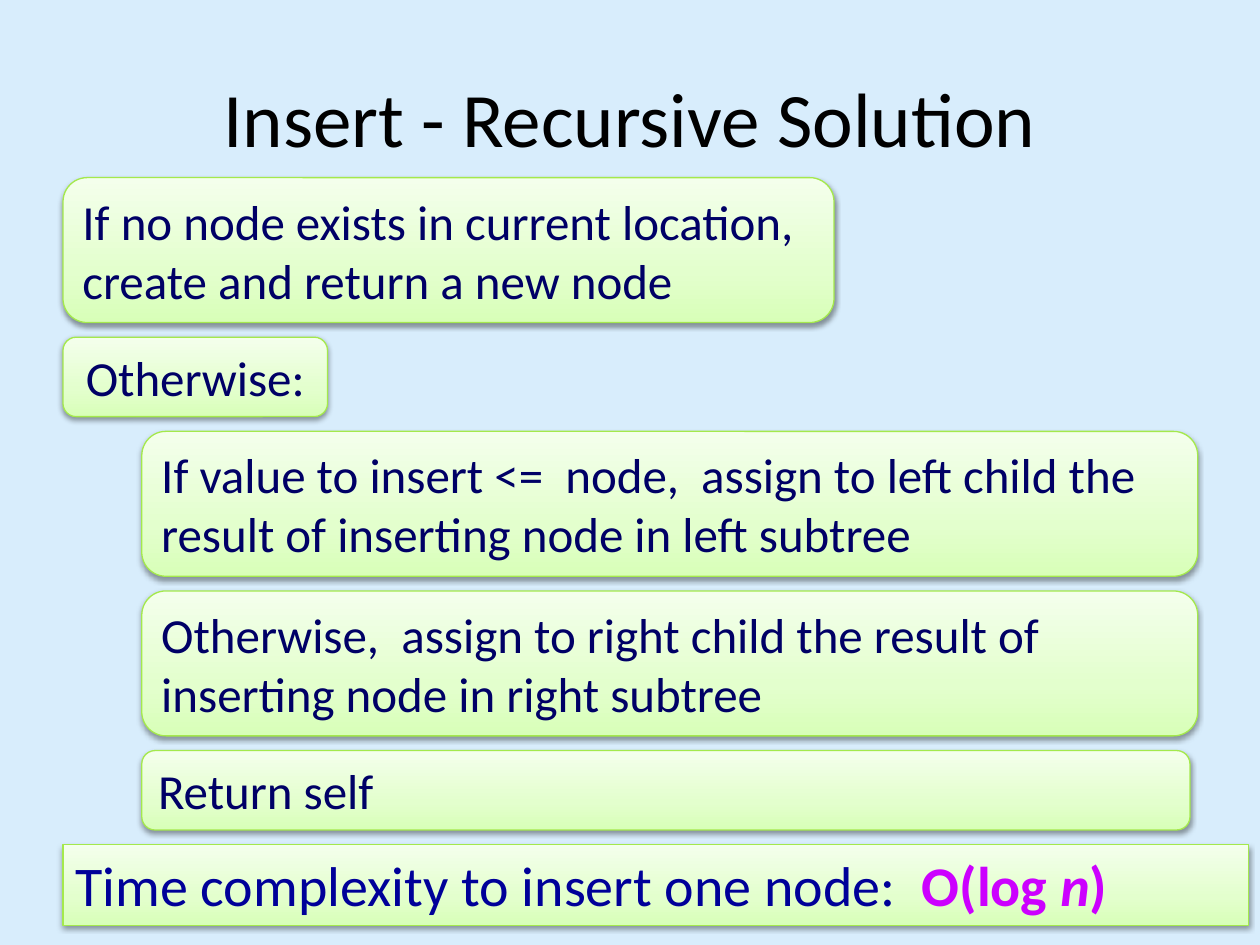
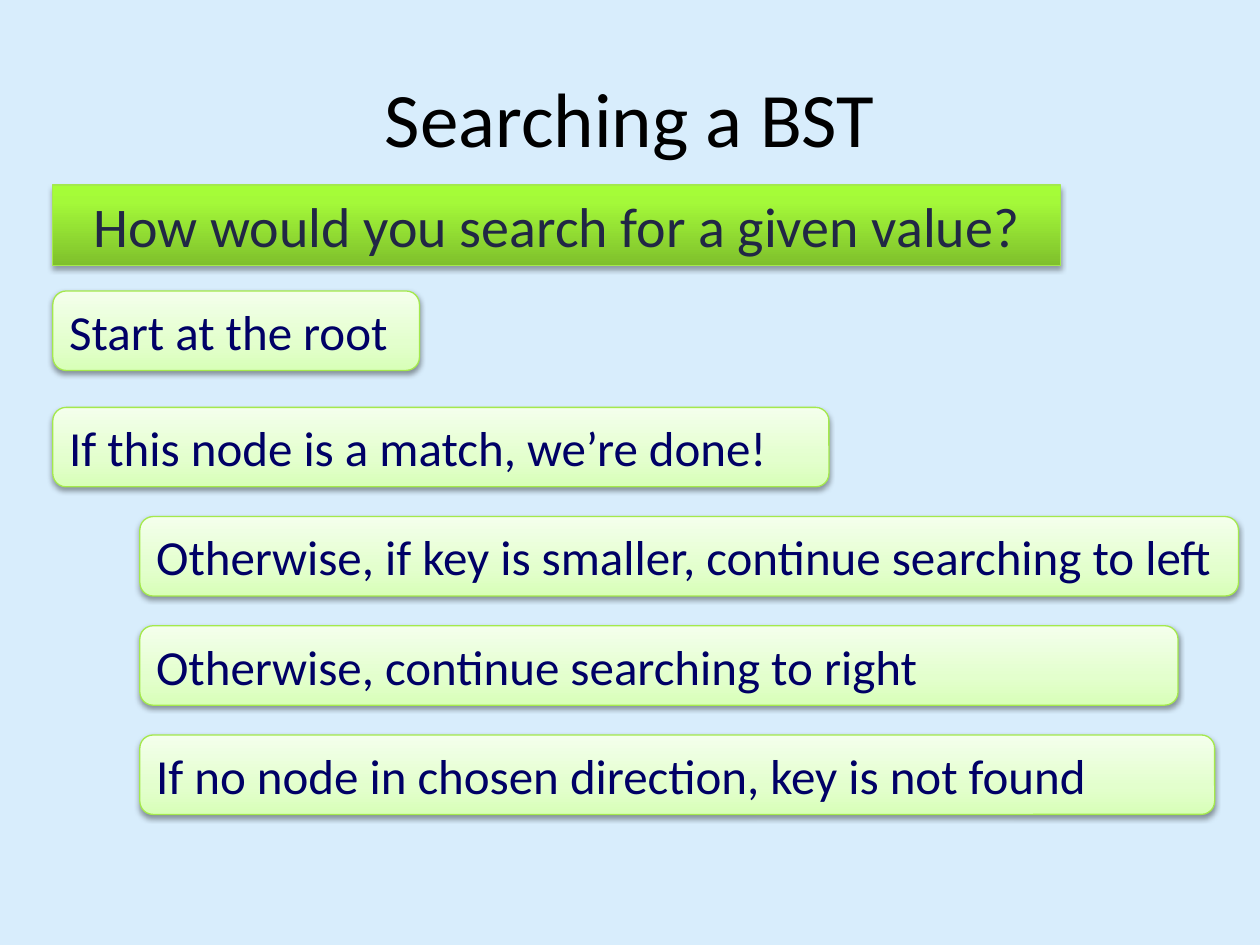
from lxml.etree import SubElement
from pptx import Presentation
from pptx.dml.color import RGBColor
from pptx.enum.shapes import MSO_SHAPE as Shape
from pptx.enum.text import MSO_ANCHOR as Anchor, MSO_AUTO_SIZE as AutoSize, PP_ALIGN as Align
from pptx.oxml.ns import qn
from pptx.util import Pt

FONT = "Calibri"
COLORS = {
    "sky": "D8EDFC", "black": "000000", "edge": "A4E94C",
    "step": "000066", "summary": "000099", "accent": "CC00FF", "question": "212745",
}
# Gradient stops run from the bottom of a box to its top
PALE = [(0, "D8FFB8"), (35, "E3FFCD"), (100, "F4FFEC")]
BRIGHT = [(0, "7FC02C"), (80, "A4F939"), (100, "A6FE36")]
ONE_LINE, TWO_LINES, BAND = 45.4, 82.8, 46


def rgb(name):
    return RGBColor.from_string(COLORS[name])


def style_run(r, size, color, bold=None, italic=None):
    f = r.font
    f.name, f.size, f.bold, f.italic = FONT, Pt(size), bold, italic
    f.color.rgb = rgb(color)


def set_gradient(sp, stops):
    sp.fill.gradient()
    sp.fill.gradient_angle = 90
    gs_list = sp._element.spPr.find(qn("a:gradFill")).find(qn("a:gsLst"))
    gs_list.clear()
    for pos, color in stops:
        gs = SubElement(gs_list, qn("a:gs"), pos=str(pos * 1000))
        SubElement(gs, qn("a:srgbClr"), val=color)


def set_shadow(sp, alpha, distance):
    sp.shadow.inherit = False
    effects = sp._element.spPr.find(qn("a:effectLst"))
    shadow = SubElement(effects, qn("a:outerShdw"), blurRad=str(Pt(3.1)),
                        dist=str(Pt(distance)), dir="5400000", rotWithShape="0")
    color = SubElement(shadow, qn("a:srgbClr"), val=COLORS["black"])
    SubElement(color, qn("a:alpha"), val=str(alpha * 1000))


def add_box(s, box, kind, stops, align, anchor, shadow=(38, 1.6)):
    """Draw an empty green box and return its paragraph."""
    sp = s.shapes.add_shape(kind, *map(Pt, box))
    set_gradient(sp, stops)
    set_shadow(sp, *shadow)
    sp.line.color.rgb = rgb("edge")
    sp.line.width = Pt(0.75)
    tf = sp.text_frame
    tf.word_wrap = True
    tf.auto_size = AutoSize.SHAPE_TO_FIT_TEXT
    tf.vertical_anchor = anchor
    p = tf.paragraphs[0]
    p.alignment = align
    return p


def add_step(s, box, text, align=Align.LEFT):
    p = add_box(s, box, Shape.ROUNDED_RECTANGLE, PALE, align, Anchor.MIDDLE)
    p.text = text
    style_run(p.runs[0], 28, "step")


def add_question(s, box, text):
    p = add_box(s, box, Shape.RECTANGLE, BRIGHT, Align.CENTER, Anchor.TOP, (35, 1.8))
    p.text = text
    style_run(p.runs[0], 32, "question")


def add_summary(s, box, label, cost):
    p = add_box(s, box, Shape.RECTANGLE, PALE, Align.LEFT, Anchor.TOP)
    r = p.add_run()
    r.text = label
    style_run(r, 32, "summary")
    for text, italic in cost:
        r = p.add_run()
        r.text = text
        style_run(r, 32, "accent", True, italic)


def add_titled_slide(prs, title):
    s = prs.slides.add_slide(prs.slide_layouts[5])
    sp = s.shapes.title
    sp.left, sp.top, sp.width, sp.height = map(Pt, (36, 21.6, 648, 90))
    tf = sp.text_frame
    tf.text = title
    tf.vertical_anchor = Anchor.MIDDLE
    p = tf.paragraphs[0]
    p.alignment = Align.CENTER
    style_run(p.runs[0], 44, "black")
    return s


def insert_slide(prs):
    s = add_titled_slide(prs, "Insert - Recursive Solution")
    left, top, gap, indent = 36, 101.5, 8.4, 45
    # Algorithm steps, stacked with equal gaps
    steps = [
        (0, 440.6, TWO_LINES, Align.LEFT,
         "If no node exists in current location, create and return a new node"),
        (0, 151.2, ONE_LINE, Align.CENTER, "Otherwise:"),
        (indent, 603.4, TWO_LINES, Align.LEFT,
         "If value to insert <=  node,  assign to left child the result of "
         "inserting node in left subtree"),
        (indent, 603.4, TWO_LINES, Align.LEFT,
         "Otherwise,  assign to right child the result of inserting node in right subtree"),
        (indent, 599, ONE_LINE, Align.LEFT, "Return self"),
    ]
    for dx, width, height, align, text in steps:
        add_step(s, (left + dx, top, width, height), text, align)
        top += height + gap
    # Complexity band
    add_summary(s, (left, top, 677.5, BAND), "Time complexity to insert one node:  ",
                [("O(log ", False), ("n", True), (")", False)])


def search_slide(prs):
    s = add_titled_slide(prs, "Searching a BST")
    left, indent = 30.2, 49.7
    # Question band
    add_question(s, (left, 105.8, 576, BAND), "How would you search for a given value?")
    # First checks
    add_step(s, (left, 166.3, 209.5, ONE_LINE), "Start at the root")
    add_step(s, (left, 232.8, 443.5, ONE_LINE), "If this node is a match, we’re done!")
    # Remaining cases, indented at an even pitch
    cases = [
        (627.8, "Otherwise, if key is smaller, continue searching to left"),
        (593.3, "Otherwise, continue searching to right"),
        (614.2, "If no node in chosen direction, key is not found"),
    ]
    for i, (width, text) in enumerate(cases):
        add_step(s, (left + indent, 295.2 + i * 62.4, width, ONE_LINE), text)


def main():
    prs = Presentation()
    prs.slide_width, prs.slide_height = Pt(720), Pt(540)
    fill = prs.slide_master.background.fill
    fill.solid()
    fill.fore_color.rgb = rgb("sky")
    insert_slide(prs)
    search_slide(prs)
    prs.save("out.pptx")


if __name__ == "__main__":
    main()
